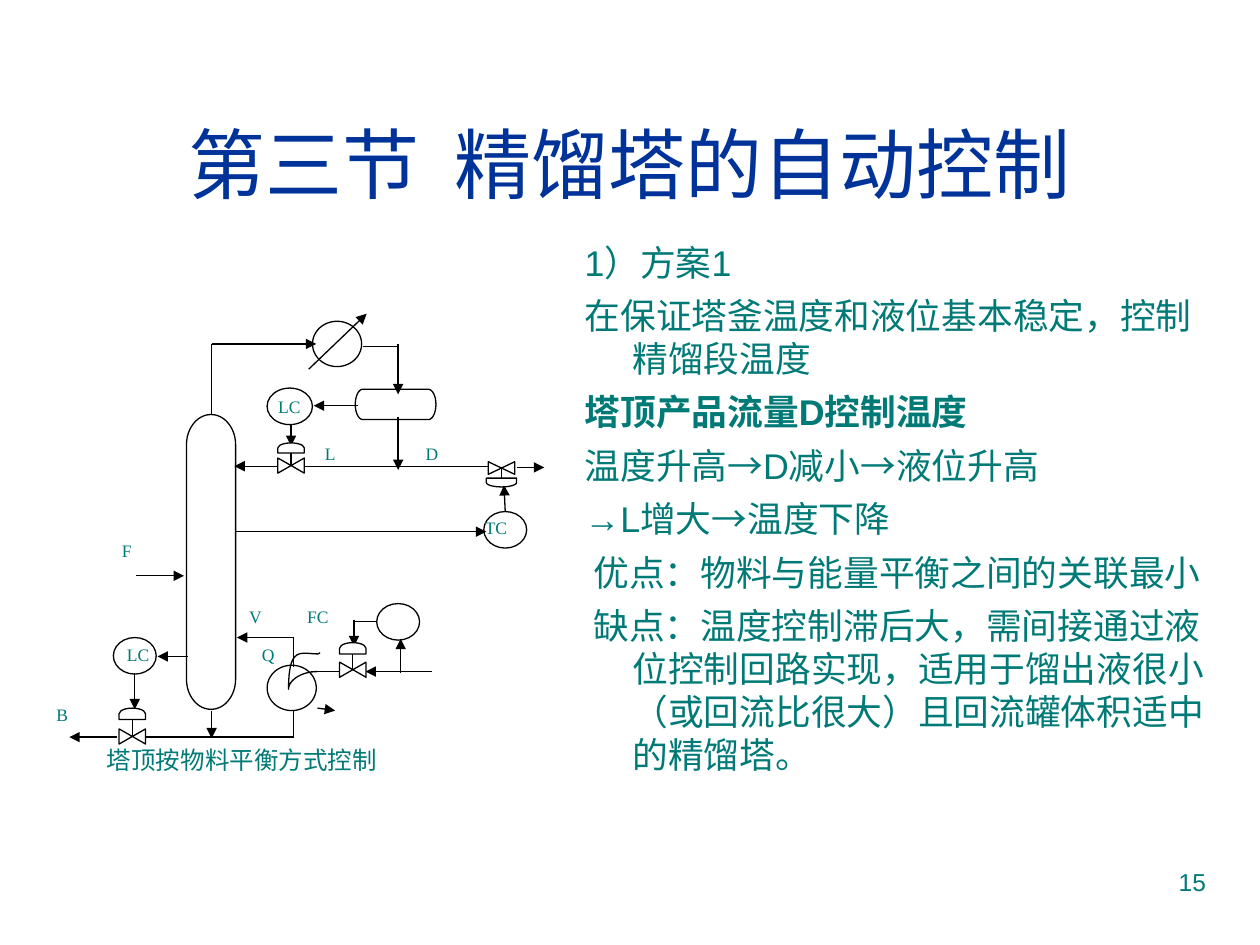
from dataclasses import dataclass
from math import cos, pi, sin
from typing import NamedTuple

from lxml.etree import SubElement
from pptx import Presentation
from pptx.dml.color import RGBColor
from pptx.enum.shapes import MSO_CONNECTOR, MSO_SHAPE as SHAPE
from pptx.enum.text import MSO_ANCHOR as ANCHOR, MSO_AUTO_SIZE, PP_ALIGN as ALIGN
from pptx.oxml.ns import qn
from pptx.util import Emu, Inches, Pt

COLUMNS, ROWS = 100, 75
CELL = Inches(0.1)


@dataclass(frozen=True)
class Theme:
    title: RGBColor = RGBColor(0x00, 0x33, 0x99)
    text: RGBColor = RGBColor(0x00, 0x7A, 0x77)
    ink: RGBColor = RGBColor(0, 0, 0)
    paper: RGBColor = RGBColor(0xFF, 0xFF, 0xFF)
    sans: str = "Arial"
    serif: str = "Times New Roman"
    title_size: float = 44
    body_size: float = 20.4
    small_size: float = 14
    label_size: float = 10
    line: float = 0.75


THEME = Theme()


class Box(NamedTuple):
    """Left, top, width and height in grid cells."""
    x: float
    y: float
    w: float
    h: float


class Pipe(NamedTuple):
    x1: float
    y1: float
    x2: float
    y2: float
    arrow: bool = False


class Valve(NamedTuple):
    """Centre of the body, its height, and the actuator's centre and size."""
    x: float
    y: float
    h: float
    actuator_y: float
    actuator_w: float
    actuator_h: float
    below: bool = False


class Label(NamedTuple):
    text: str
    x: float
    y: float


class Item(NamedTuple):
    text: str
    hang: float = 3.8
    bold: bool = False


ITEMS = [
    Item("1）方案1"),
    Item("在保证塔釜温度和液位基本稳定，控制精馏段温度"),
    Item("塔顶产品流量D控制温度", bold=True),
    Item("温度升高→D减小→液位升高"),
    Item("→L增大→温度下降"),
    Item("优点：物料与能量平衡之间的关联最小", hang=3.1),
    Item("缺点：温度控制滞后大，需间接通过液位控制回路实现，适用于馏出液很小"
         "（或回流比很大）且回流罐体积适中的精馏塔。", hang=3.1),
]

CONDENSER, REBOILER = Box(24.8, 25.5, 3.9, 3.6), Box(21.2, 52.8, 3.9, 3.6)
INSTRUMENTS = [Box(21.2, 30.8, 3.6, 2.9), Box(38.4, 40.6, 3.4, 2.9),
               Box(29.9, 47.9, 3.4, 2.9), Box(9, 50.6, 3.4, 2.9)]
TOWER, DRUM = Box(14.8, 32.9, 3.9, 23.4), Box(28.2, 30.9, 6.4, 2.4)

PIPES = [
    # feed, overhead vapour and condenser
    Pipe(10.8, 45.7, 14.6, 45.7, True),
    Pipe(16.8, 32.9, 16.8, 27.3), Pipe(16.8, 27.3, 25.1, 27.3, True),
    Pipe(24.5, 29.3, 29.1, 24.9, True),
    Pipe(28.8, 27.5, 31.6, 27.5), Pipe(31.6, 27.3, 31.6, 31.3, True),
    # reflux and distillate
    Pipe(31.6, 33.1, 31.6, 37.3, True), Pipe(24.1, 37, 38.9, 37),
    Pipe(22, 37, 18.6, 37, True), Pipe(41, 37.1, 43.2, 37.1, True),
    # bottoms
    Pipe(16.8, 56.4, 16.8, 58.6, True), Pipe(23.3, 58.5, 11.5, 58.5),
    Pipe(23.3, 56.4, 23.3, 58.5), Pipe(9.3, 58.5, 5.5, 58.5, True),
    # reboiler vapour and heating medium
    Pipe(23.3, 50.6, 18.8, 50.6, True), Pipe(23.3, 50.6, 23.3, 52.9),
    Pipe(26.9, 53.3, 24.7, 53.3), Pipe(25.2, 56.2, 26.6, 56.4, True),
    Pipe(34.3, 53.3, 29, 53.3, True),
    # control signals
    Pipe(28.4, 32.2, 24.9, 32.2, True), Pipe(23.1, 33.7, 23.1, 35.4, True),
    Pipe(18.7, 42.2, 38.6, 42.2, True), Pipe(40.1, 40.6, 40, 38.5, True),
    Pipe(31.8, 53.4, 31.8, 50.7, True), Pipe(29.9, 49.3, 28, 49.3),
    Pipe(28.1, 49.2, 28.1, 51.3, True),
    Pipe(14.9, 52.1, 12.5, 52.1, True), Pipe(10.7, 53.4, 10.7, 56.3, True),
]

VALVES = [
    Valve(10.5, 58.45, 1.2, 56.65, 2.1, 0.9),
    Valve(28, 53.15, 1.2, 51.45, 2.1, 0.9),
    Valve(23.1, 36.95, 1.2, 35.55, 2.1, 0.8),
    Valve(39.8, 37.15, 1, 38.3, 2.4, 0.7, below=True),
]

LABELS = [
    Label("LC", 21.1, 30.9), Label("L", 24.8, 34.7), Label("D", 32.8, 34.7),
    Label("TC", 37.5, 40.5), Label("F", 8.7, 42.4), Label("V", 18.8, 47.6),
    Label("FC", 23.4, 47.6), Label("LC", 9.1, 50.6), Label("Q", 19.8, 50.6),
    Label("B", 3.5, 55.4),
]

# Steam coil: cubic curves joined end to end
COIL = [
    [(25.2, 53.3), (23.9, 53.3), (22.9, 54), (22.9, 54.7)],
    [(22.9, 54.7), (22.9, 51.2), (23.9, 51.9), (25.2, 51.9)],
    [(25.2, 51.9), (25.2, 51.9), (25.3, 51.9), (25.4, 51.8)],
]


def cells(*values: float) -> list[Emu]:
    return [Emu(round(v * CELL)) for v in values]


def write(p, text: str, *, size: float, font: str = THEME.sans,
          color: RGBColor = THEME.text, bold: bool = False, align=ALIGN.LEFT) -> None:
    p.alignment = align
    r = p.add_run()
    r.text = text
    r.font.size, r.font.name, r.font.bold = Pt(size), font, bold
    r.font.color.rgb = color


def add_text(slide, box: Box, text: str, **fmt) -> None:
    tf = slide.shapes.add_textbox(*cells(*box)).text_frame
    tf.word_wrap = True
    write(tf.paragraphs[0], text, **fmt)


def place(sp, box: Box):
    sp.left, sp.top, sp.width, sp.height = cells(*box)
    tf = sp.text_frame
    tf.word_wrap, tf.auto_size = True, MSO_AUTO_SIZE.NONE
    return tf


def ink(sp, filled: bool = True) -> None:
    sp.shadow.inherit = False
    if filled:
        sp.fill.solid()
        sp.fill.fore_color.rgb = THEME.paper
    else:
        sp.fill.background()
    sp.line.color.rgb, sp.line.width = THEME.ink, Pt(THEME.line)


def add_preset(slide, kind, box: Box, rotation: float = 0) -> None:
    sp = slide.shapes.add_shape(kind, *cells(*box))
    sp.rotation = rotation
    ink(sp)


def add_pipe(slide, pipe: Pipe) -> None:
    ends = cells(pipe.x1, pipe.y1, pipe.x2, pipe.y2)
    sp = slide.shapes.add_connector(MSO_CONNECTOR.STRAIGHT, *ends)
    sp.line.color.rgb, sp.line.width = THEME.ink, Pt(THEME.line)
    if pipe.arrow:
        SubElement(sp.line._get_or_add_ln(), qn("a:tailEnd"), type="triangle")
    SubElement(sp._element.spPr, qn("a:effectLst"))


def add_outline(slide, points: list[tuple[float, float]], closed: bool) -> None:
    start, *rest = [cells(*pt) for pt in points]
    builder = slide.shapes.build_freeform(*start)
    builder.add_line_segments(rest, close=closed)
    ink(builder.convert_to_shape(), filled=closed)


def add_vessel(slide, box: Box, rx: float, ry: float, steps: int = 12) -> None:
    """Draw a rectangle whose corners are quarter ellipses."""
    left, right = box.x + rx, box.x + box.w - rx
    top, bottom = box.y + ry, box.y + box.h - ry
    centres = [(right, bottom), (left, bottom), (left, top), (right, top)]
    points = [(cx + rx * cos(a), cy + ry * sin(a))
              for k, (cx, cy) in enumerate(centres)
              for a in (pi / 2 * (k + i / steps) for i in range(steps + 1))]
    add_outline(slide, points, closed=True)


def bezier(curve, t: float) -> tuple[float, float]:
    weights = [(1 - t) ** 3, 3 * t * (1 - t) ** 2, 3 * t * t * (1 - t), t ** 3]
    return tuple(sum(w * pt[k] for w, pt in zip(weights, curve)) for k in (0, 1))


def add_valve(slide, v: Valve) -> None:
    def turned(cy: float, w: float, h: float) -> Box:
        """Box whose quarter turn is w wide and h high."""
        return Box(v.x - h / 2, cy - w / 2, h, w)

    add_preset(slide, SHAPE.FLOWCHART_COLLATE, turned(v.y, 2.1, v.h), 90)
    add_preset(slide, SHAPE.FLOWCHART_DELAY,
               turned(v.actuator_y, v.actuator_w, v.actuator_h), 90 if v.below else 270)
    side = -1 if v.below else 1
    add_pipe(slide, Pipe(v.x, v.y, v.x, v.actuator_y + side * v.actuator_h / 2))


def add_diagram(slide) -> None:
    add_vessel(slide, DRUM, 0.6, 1.2)
    add_vessel(slide, TOWER, TOWER.w / 2, 2.4)
    for box in [CONDENSER, REBOILER, *INSTRUMENTS]:
        add_preset(slide, SHAPE.OVAL, box)
    add_outline(slide, [bezier(c, i / 16) for c in COIL for i in range(17)], closed=False)
    for pipe in PIPES:
        add_pipe(slide, pipe)
    for valve in VALVES:
        add_valve(slide, valve)
    for label in LABELS:
        add_text(slide, Box(label.x, label.y, 5, 3.5), label.text,
                 size=THEME.label_size, font=THEME.serif)
    add_text(slide, Box(7.5, 58.6, 29.5, 4.9), "塔顶按物料平衡方式控制",
             size=THEME.small_size, font=THEME.serif)


def fill_body(tf) -> None:
    for i, item in enumerate(ITEMS):
        p = tf.paragraphs[0] if i == 0 else tf.add_paragraph()
        pPr = p._p.get_or_add_pPr()
        pPr.set("marL", str(cells(3.8)[0]))
        pPr.set("indent", str(-cells(item.hang)[0]))
        SubElement(pPr, qn("a:buNone"))
        p.space_before = Pt(6 if i else 0)
        write(p, item.text, size=THEME.body_size, bold=item.bold)


def main() -> None:
    prs = Presentation()
    prs.slide_width, prs.slide_height = cells(COLUMNS, ROWS)
    slide = prs.slides.add_slide(prs.slide_layouts[1])
    title, body = slide.placeholders
    tf = place(title, Box(3.3, 6.7, 93.4, 12.5))
    tf.vertical_anchor = ANCHOR.MIDDLE
    write(tf.paragraphs[0], "第三节  精馏塔的自动控制", size=THEME.title_size,
          color=THEME.title, align=ALIGN.CENTER)
    fill_body(place(body, Box(45.4, 18.6, 51.3, 45.9)))
    add_diagram(slide)
    add_text(slide, Box(71.7, 68.3, 25, 5.2), "15", size=THEME.small_size, align=ALIGN.RIGHT)
    prs.save("out.pptx")


if __name__ == "__main__":
    main()
